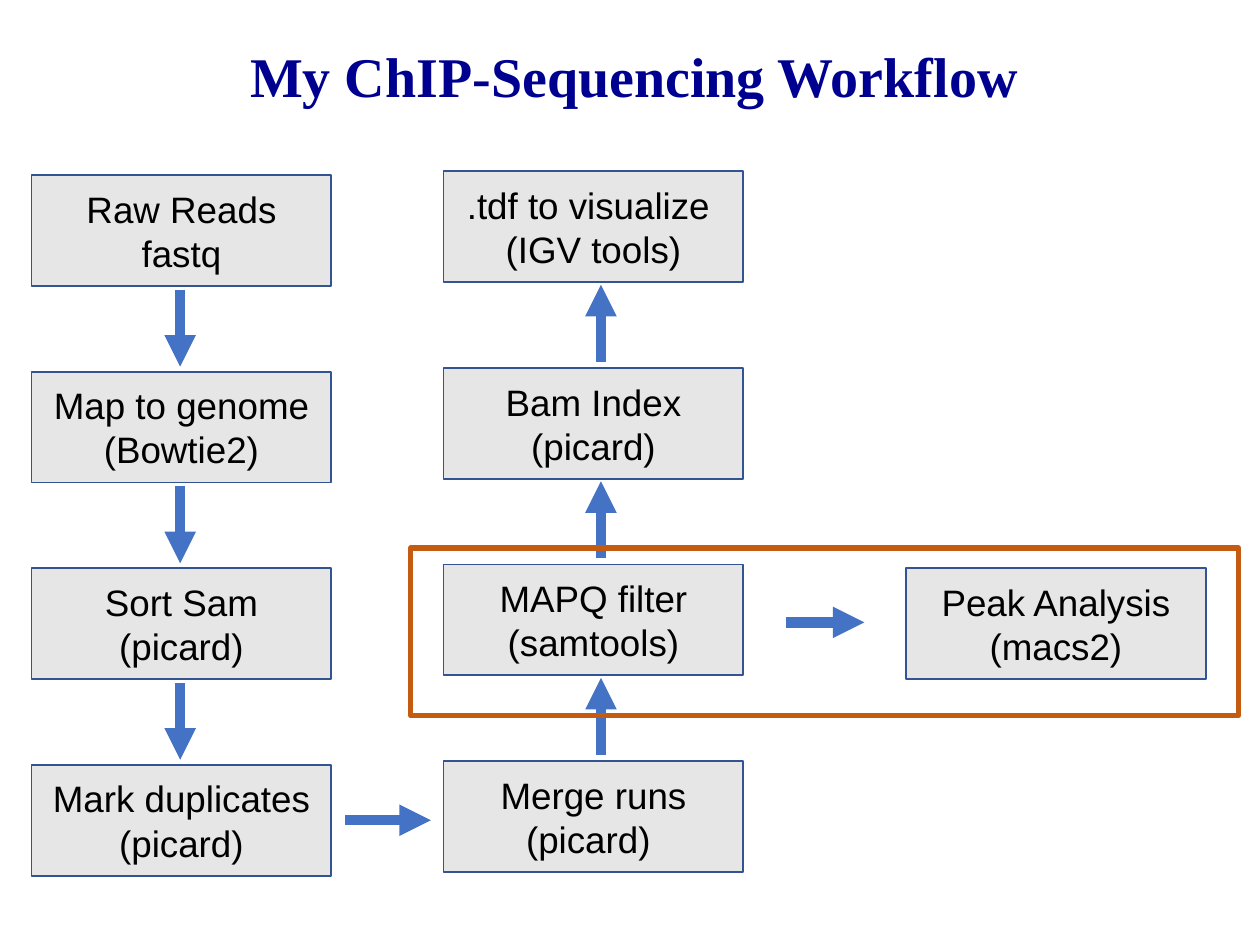
from dataclasses import dataclass

from lxml import etree
from pptx import Presentation
from pptx.dml.color import RGBColor
from pptx.enum.shapes import MSO_CONNECTOR, MSO_SHAPE
from pptx.enum.text import MSO_ANCHOR, MSO_AUTO_SIZE, PP_ALIGN
from pptx.oxml.ns import qn
from pptx.util import Inches, Pt

RECTANGLE = MSO_SHAPE.RECTANGLE
STRAIGHT = MSO_CONNECTOR.STRAIGHT
TOP, MIDDLE = MSO_ANCHOR.TOP, MSO_ANCHOR.MIDDLE
CENTER = PP_ALIGN.CENTER
TITLE_ONLY = 5


@dataclass(frozen=True)
class Theme:
    title_color: RGBColor = RGBColor(0x00, 0x00, 0x90)
    text_color: RGBColor = RGBColor(0x00, 0x00, 0x00)
    box_fill: RGBColor = RGBColor(0xE7, 0xE6, 0xE6)
    box_line: RGBColor = RGBColor(0x32, 0x54, 0x91)
    arrow: RGBColor = RGBColor(0x44, 0x72, 0xC4)
    highlight: RGBColor = RGBColor(0xC5, 0x5A, 0x11)
    title_font: str = "Times New Roman"
    box_font: str = "Arial"
    title_size: int = 32
    box_size: int = 21


theme = Theme()


def write_text(shape, text, *, font, size, color, bold=False, anchor=MIDDLE, wrap=True):
    """Fill the shape with centred text, one paragraph for each line."""
    frame = shape.text_frame
    frame.auto_size = MSO_AUTO_SIZE.NONE
    frame.word_wrap = wrap
    frame.vertical_anchor = anchor
    frame.text = text
    for paragraph in frame.paragraphs:
        paragraph.alignment = CENTER
        paragraph.font.name = font
        paragraph.font.size = Pt(size)
        paragraph.font.bold = bold
        paragraph.font.color.rgb = color


def add_rectangle(left, top, width, height, line_color, line_width):
    shape = slide.shapes.add_shape(
        RECTANGLE, Inches(left), Inches(top), Inches(width), Inches(height))
    shape.shadow.inherit = False
    shape.line.color.rgb = line_color
    shape.line.width = Pt(line_width)
    return shape


presentation = Presentation()
presentation.slide_width = Inches(10)
presentation.slide_height = Inches(7.5)
slide = presentation.slides.add_slide(presentation.slide_layouts[TITLE_ONLY])

# Title
title = slide.shapes.title
title.left, title.top = Inches(1.86), Inches(0.28)
title.width, title.height = Inches(6.35), Inches(0.64)
write_text(title, "My ChIP-Sequencing Workflow", font=theme.title_font,
           size=theme.title_size, color=theme.title_color, bold=True,
           anchor=TOP, wrap=False)

# Workflow steps, in columns of equal pitch: left, top of the first box, labels
box_width, box_height, row_pitch = 2.38, 0.88, 1.56
columns = [
    (0.25, 1.39, ["Raw Reads\nfastq", "Map to genome (Bowtie2)",
                  "Sort Sam\n(picard)", "Mark duplicates\n(picard)"]),
    (3.52, 1.36, [".tdf to visualize \n(IGV tools)", "Bam Index (picard)",
                  "MAPQ filter (samtools)", "Merge runs\n(picard) "]),
    (7.19, 4.51, ["Peak Analysis\n(macs2)"]),
]
for left, first_top, labels in columns:
    for row, label in enumerate(labels):
        box = add_rectangle(left, first_top + row * row_pitch, box_width,
                            box_height, theme.box_line, 1)
        box.fill.solid()
        box.fill.fore_color.rgb = theme.box_fill
        write_text(box, label, font=theme.box_font, size=theme.box_size,
                   color=theme.text_color)

# Arrows: down the first column, up the second, and across between columns
arrow_length = 0.61
arrows = [(2.74, 6.51, 3.42, 6.51), (6.24, 4.94, 6.86, 4.94)]
for gap in range(3):
    down_start = 2.3 + gap * row_pitch
    up_end = 2.26 + gap * row_pitch
    arrows.append((1.43, down_start, 1.43, down_start + arrow_length))
    arrows.append((4.77, up_end + arrow_length, 4.77, up_end))

for start_x, start_y, end_x, end_y in arrows:
    arrow = slide.shapes.add_connector(
        STRAIGHT, Inches(start_x), Inches(start_y), Inches(end_x), Inches(end_y))
    arrow.line.color.rgb = theme.arrow
    arrow.line.width = Pt(6)
    etree.SubElement(arrow.line._get_or_add_ln(), qn("a:tailEnd"), type="triangle")
    etree.SubElement(arrow._element.spPr, qn("a:effectLst"))

# Frame around the peak-calling steps
frame = add_rectangle(3.26, 4.35, 6.57, 1.33, theme.highlight, 3)
frame.fill.background()

presentation.save("out.pptx")
